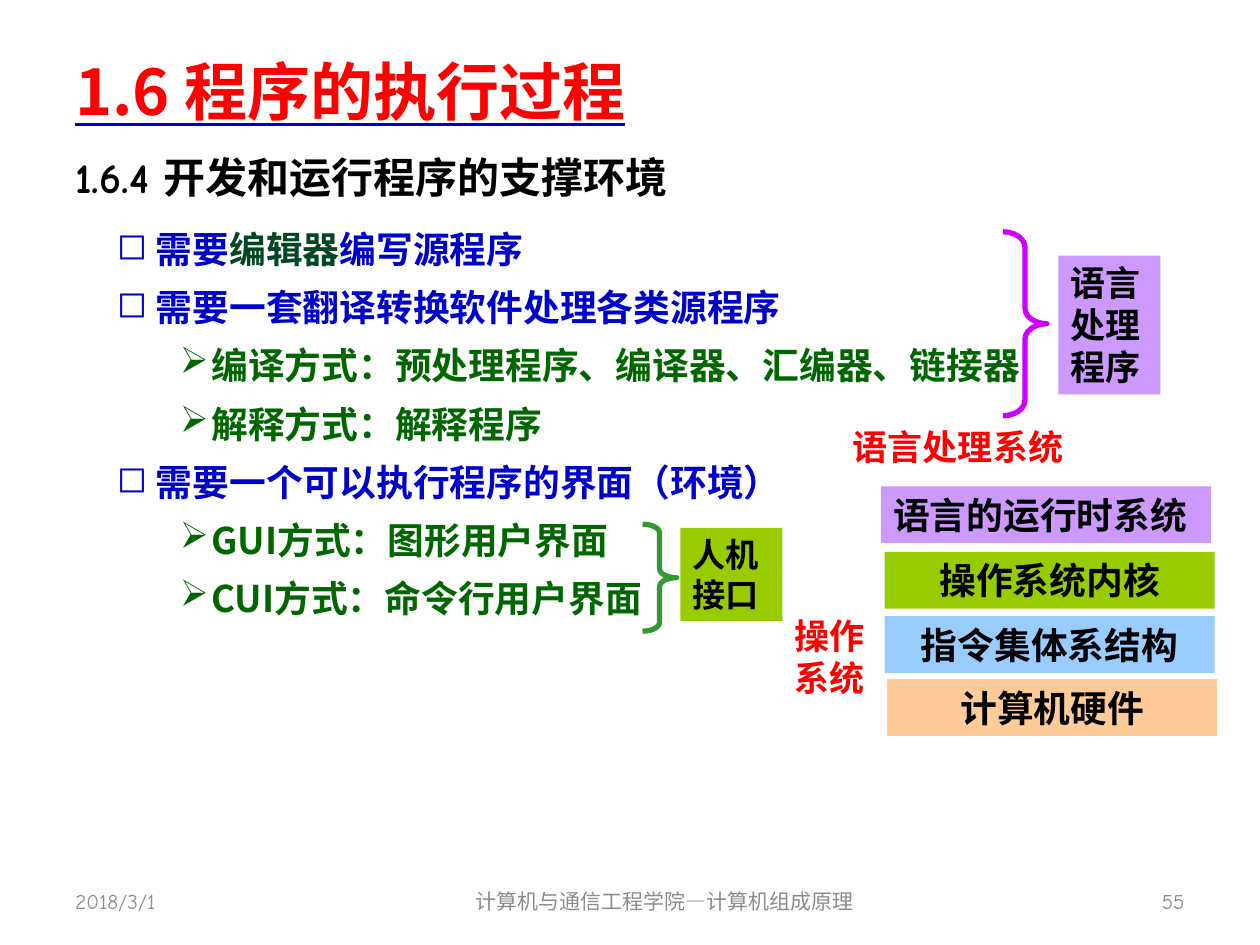
"""Build the slide on the environment that supports developing and running programs."""
from dataclasses import dataclass

from lxml.etree import SubElement
from pptx import Presentation
from pptx.dml.color import RGBColor
from pptx.enum.shapes import MSO_SHAPE
from pptx.enum.text import MSO_ANCHOR, PP_ALIGN
from pptx.oxml.ns import qn
from pptx.util import Inches, Pt


@dataclass(frozen=True)
class Theme:
    red: str = "FF0000"
    black: str = "000000"
    gray: str = "8C8C8C"
    blue: str = "0000CC"
    green: str = "006600"
    dark_green: str = "004821"
    purple: str = "CC99FF"
    lime: str = "99CC00"
    sky: str = "99CCFF"
    peach: str = "FFCC99"
    purple_line: str = "CC00FF"
    green_line: str = "339933"
    cjk: str = "Noto Sans CJK SC"
    comic: str = "Comic Neue"
    sans: str = "Arial"
    title: float = 36
    subtitle: float = 24
    body: float = 21
    label: float = 20
    small_label: float = 19
    footer: float = 12
    line_height: float = 1.2


@dataclass(frozen=True)
class Area:
    left: float
    top: float
    width: float
    height: float

    def lengths(self) -> tuple:
        return tuple(Inches(n) for n in (self.left, self.top, self.width, self.height))


@dataclass(frozen=True)
class Level:
    bullet: str
    margin: float
    hanging: float
    color: str


@dataclass(frozen=True)
class Point:
    level: Level
    spans: tuple


@dataclass(frozen=True)
class Label:
    text: str
    area: Area
    fill: str | None = None
    color: str = Theme.black
    size: float = Theme.label
    align: PP_ALIGN = PP_ALIGN.LEFT


@dataclass(frozen=True)
class Brace:
    area: Area
    curve: float
    color: str


THEME = Theme()
MAIN = Level("◻", 0.81, 0.31, THEME.blue)
DETAIL = Level("➢", 1.25, 0.25, THEME.green)

POINTS = (
    Point(MAIN, (("需要", THEME.blue), ("编辑器", THEME.dark_green), ("编写源程序", THEME.blue))),
    Point(MAIN, (("需要一套翻译转换软件处理各类源程序", THEME.blue),)),
    Point(DETAIL, (("编译方式：预处理程序、编译器、汇编器、链接器", THEME.green),)),
    Point(DETAIL, (("解释方式：解释程序", THEME.green),)),
    Point(MAIN, (("需要一个可以执行程序的界面（环境）", THEME.blue),)),
    Point(DETAIL, (("GUI方式：图形用户界面", THEME.green),)),
    Point(DETAIL, (("CUI方式：命令行用户界面", THEME.green),)),
)

BRACES = (
    Brace(Area(7.96, 1.84, 0.35, 1.46), 0.35, THEME.purple_line),
    Brace(Area(5.1, 4.16, 0.27, 0.85), 0.26, THEME.green_line),
)

LABELS = (
    Label("语言处理程序", Area(8.4, 2.03, 0.81, 1.1), THEME.purple),
    Label("人机接口", Area(5.4, 4.19, 0.81, 0.74), THEME.lime, size=THEME.small_label),
    Label("语言的运行时系统", Area(6.99, 3.86, 2.62, 0.45), THEME.purple, size=THEME.body),
    Label("操作系统内核", Area(7.02, 4.38, 2.62, 0.45), THEME.lime,
          size=THEME.body, align=PP_ALIGN.CENTER),
    Label("指令集体系结构", Area(7.02, 4.89, 2.62, 0.45), THEME.sky,
          size=THEME.body, align=PP_ALIGN.CENTER),
    Label("计算机硬件", Area(7.04, 5.39, 2.62, 0.45), THEME.peach,
          size=THEME.body, align=PP_ALIGN.CENTER),
    Label("操作系统", Area(6.21, 4.83, 0.87, 0.77), color=THEME.red),
    Label("语言处理系统", Area(6.67, 3.33, 2.05, 0.43), color=THEME.red),
)

FOOTERS = (
    ("2018/3/1", Area(0.5, 6.95, 2.33, 0.4), PP_ALIGN.LEFT),
    ("计算机与通信工程学院—计算机组成原理", Area(3.42, 6.95, 3.71, 0.4), PP_ALIGN.CENTER),
    ("55", Area(7.17, 6.95, 2.33, 0.4), PP_ALIGN.RIGHT),
)


def write(para, text: str, *, size: float, color: str, font: str, bold: bool = True,
          underline: str | None = None, align: PP_ALIGN = PP_ALIGN.LEFT,
          spacing: float = 1) -> None:
    para.alignment = align
    para.line_spacing = Pt(round(size * THEME.line_height * spacing, 1))
    span = para.add_run()
    span.text = text
    span.font.size = Pt(size)
    span.font.bold = bold
    span.font.color.rgb = RGBColor.from_string(color)
    properties = span.font._element
    if underline:
        span.font.underline = True
        fill = SubElement(SubElement(properties, qn("a:uFill")), qn("a:solidFill"))
        SubElement(fill, qn("a:srgbClr"), val=underline)
    span.font.name = font
    SubElement(properties, qn("a:ea"), typeface=THEME.cjk)


def add_box(page, area: Area, fill: str | None = None, anchor: MSO_ANCHOR = MSO_ANCHOR.TOP):
    if fill:
        box = page.shapes.add_shape(MSO_SHAPE.RECTANGLE, *area.lengths())
        box.shadow.inherit = False
        box.fill.solid()
        box.fill.fore_color.rgb = RGBColor.from_string(fill)
        box.line.fill.background()
    else:
        box = page.shapes.add_textbox(*area.lengths())
    box.text_frame.word_wrap = True
    box.text_frame.vertical_anchor = anchor
    return box.text_frame


def add_points(page, area: Area, points: tuple[Point, ...]) -> None:
    frame = add_box(page, area)
    for index, point in enumerate(points):
        para = frame.add_paragraph() if index else frame.paragraphs[0]
        for text, color in point.spans:
            write(para, text, size=THEME.body, color=color, font=THEME.cjk, spacing=1.15)
        para.level = 1 if point.level is MAIN else 2
        para.space_before = Pt(4.2 if index else 0)
        properties = para._p.get_or_add_pPr()
        properties.set("marL", str(Inches(point.level.margin)))
        properties.set("indent", str(-Inches(point.level.hanging)))
        SubElement(properties, qn("a:buChar"), char=point.level.bullet)


def add_brace(page, brace: Brace) -> None:
    shape = page.shapes.add_shape(MSO_SHAPE.RIGHT_BRACE, *brace.area.lengths())
    shape.shadow.inherit = False
    shape.adjustments[0] = brace.curve
    shape.fill.background()
    shape.line.color.rgb = RGBColor.from_string(brace.color)
    shape.line.width = Pt(3)


def add_label(page, label: Label) -> None:
    frame = add_box(page, label.area, label.fill)
    write(frame.paragraphs[0], label.text, size=label.size, color=label.color,
          font=THEME.sans, align=label.align)


def main() -> None:
    deck = Presentation()
    deck.slide_width, deck.slide_height = Inches(10), Inches(7.5)
    page = deck.slides.add_slide(deck.slide_layouts[6])
    title = add_box(page, Area(0.5, 0.29, 9, 0.85), anchor=MSO_ANCHOR.MIDDLE)
    write(title.paragraphs[0], "1.6 程序的执行过程", size=THEME.title, color=THEME.red,
          font=THEME.cjk, underline=THEME.blue)
    subtitle = add_box(page, Area(0.5, 1.15, 9, 0.63))
    write(subtitle.paragraphs[0], "1.6.4 开发和运行程序的支撑环境", size=THEME.subtitle,
          color=THEME.black, font=THEME.comic)
    for text, area, align in FOOTERS:
        footer = add_box(page, area, anchor=MSO_ANCHOR.MIDDLE)
        write(footer.paragraphs[0], text, size=THEME.footer, color=THEME.gray,
              font=THEME.comic, bold=False, align=align)
    add_points(page, Area(0.33, 1.7, 9.33, 4.3), POINTS)
    for brace in BRACES:
        add_brace(page, brace)
    for label in LABELS:
        add_label(page, label)
    deck.save("out.pptx")


if __name__ == "__main__":
    main()
